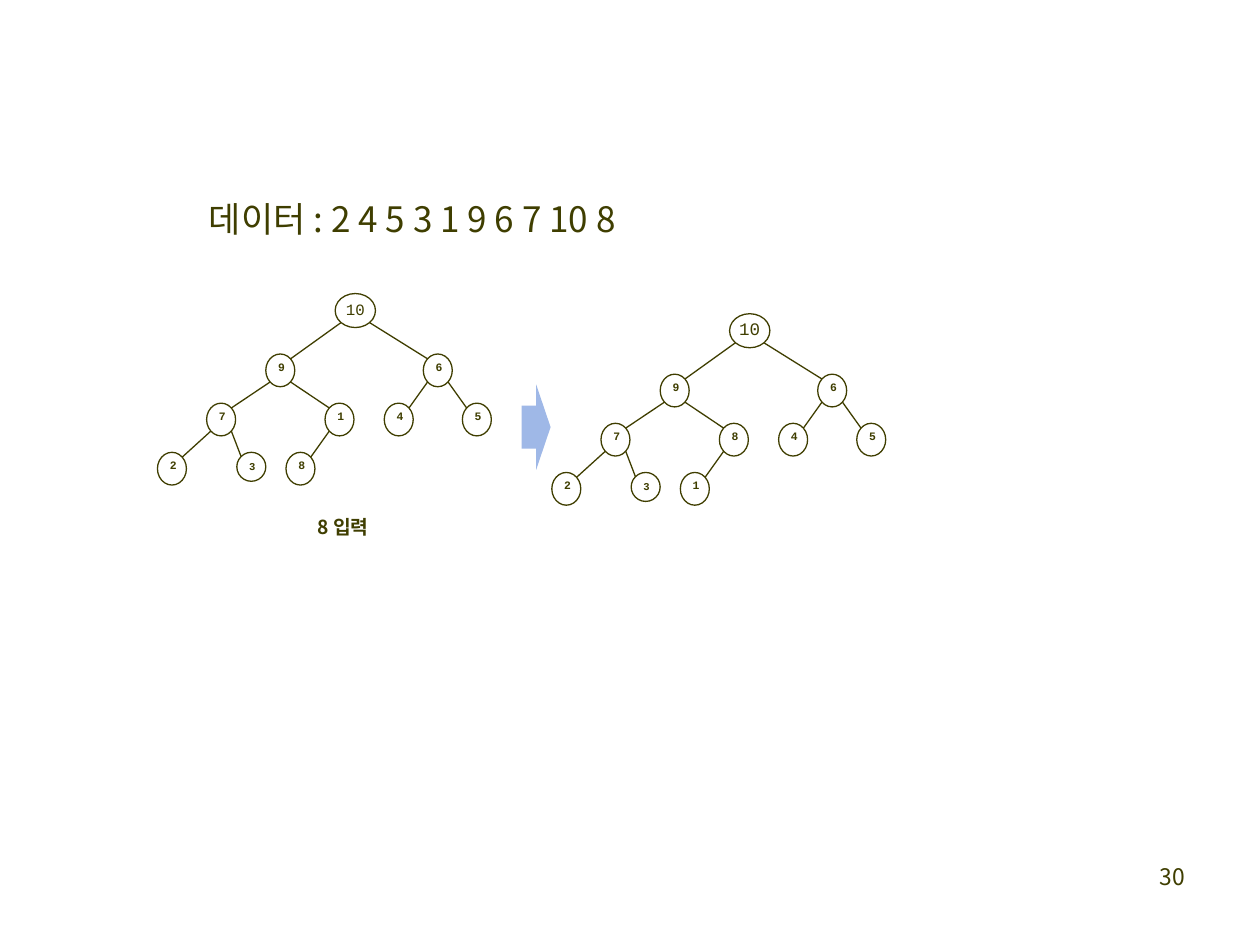
from pptx import Presentation
from pptx.dml.color import RGBColor
from pptx.enum.shapes import MSO_CONNECTOR, MSO_SHAPE
from pptx.enum.text import MSO_ANCHOR, MSO_AUTO_SIZE, PP_ALIGN
from pptx.oxml.ns import qn
from pptx.util import Inches, Pt

OVAL, ARROW = MSO_SHAPE.OVAL, MSO_SHAPE.RIGHT_ARROW
LINE = MSO_CONNECTOR.STRAIGHT
TOP, MID = MSO_ANCHOR.TOP, MSO_ANCHOR.MIDDLE
LEFT, RIGHT, CENTER = PP_ALIGN.LEFT, PP_ALIGN.RIGHT, PP_ALIGN.CENTER
GROW, FIXED = MSO_AUTO_SIZE.SHAPE_TO_FIT_TEXT, MSO_AUTO_SIZE.NONE

HUES = {"ink": "3F3E00", "arrow": "9FB8E7"}
SANS, MONO = "Noto Sans CJK KR", "Courier New"

# Node places inside a tree, in heap order: the parent of i is (i - 1) // 2
ROWS = [0, 0.48, 0.87, 1.26]
SPOTS = [(1.41, 0), (0.86, 1), (2.11, 1), (0.39, 2), (1.33, 2),
         (1.8, 2), (2.42, 2), (0, 3), (0.63, 3), (1.02, 3)]
ROOT, NODE, SMALL = (0.32, 0.27), (0.23, 0.26), (0.23, 0.23)
EDGE = 0.146  # share of an oval's box where its diagonal meets the outline


def hue(name):
    return RGBColor.from_string(HUES[name])


def write(frame, text, size, font, bold=False, align=LEFT, space=None):
    para = frame.paragraphs[0]
    para.alignment = align
    if space:
        para.line_spacing = space
        para.space_before = Pt(round(size * 0.2, 1))
    run = para.add_run()
    run.text = text
    run.font.size, run.font.bold = Pt(size), bold
    run.font.name = font
    run.font.color.rgb = hue("ink")
    east = run.font._element.makeelement(qn("a:ea"), {"typeface": font})
    run.font._element.append(east)


def label(slide, box, text, size, wrap=False, **style):
    shape = slide.shapes.add_textbox(*map(Inches, box))
    frame = shape.text_frame
    frame.word_wrap = wrap
    frame.auto_size = FIXED if wrap else GROW
    write(frame, text, size, SANS, **style)


def node(slide, box, text, size, root, space):
    shape = slide.shapes.add_shape(OVAL, *map(Inches, box))
    shape.shadow.inherit = False
    shape.fill.background()
    shape.line.color.rgb = hue("ink")
    shape.line.width = Pt(0.75)
    frame = shape.text_frame
    frame.vertical_anchor = MID if root else TOP
    if root:
        frame.margin_left = frame.margin_right = 0
        frame.margin_top = frame.margin_bottom = 0
    write(frame, text, size, MONO, not root, CENTER, space)


def corner(box, right, low):
    x, y, wide, high = box
    return (x + wide * (1 - EDGE if right else EDGE),
            y + high * (1 - EDGE if low else EDGE))


def link(slide, top, kid, right):
    ends = corner(top, right, True) + corner(kid, not right, False)
    line = slide.shapes.add_connector(LINE, *map(Inches, ends))
    line.line.color.rgb = hue("ink")
    line.line.width = Pt(0.75)
    props = line._element.spPr
    props.append(props.makeelement(qn("a:effectLst"), {}))


def tree(slide, left, top, keys, size):
    boxes = []
    for i, (key, (x, row)) in enumerate(zip(keys, SPOTS)):
        root, small = i == 0, key == 3
        dims = ROOT if root else SMALL if small else NODE
        box = (left + x, top + ROWS[row], *dims)
        boxes.append(box)
        points = size if root else 6 if small else 6.5
        node(slide, box, str(key), points, root, 0.8 if root or small else 0.6)
        if not root:
            link(slide, boxes[(i - 1) // 2], box, i % 2 == 0)


def arrow(slide, box):
    shape = slide.shapes.add_shape(ARROW, *map(Inches, box))
    shape.shadow.inherit = False
    shape.fill.solid()
    shape.fill.fore_color.rgb = hue("arrow")
    shape.line.fill.background()


def main():
    deck = Presentation()
    deck.slide_width, deck.slide_height = Inches(10), Inches(7.5)
    slide = deck.slides.add_slide(deck.slide_layouts[6])

    # Page number, input data and caption
    label(slide, (7.42, 6.8, 2.08, 0.5), "30", 13, wrap=True, align=RIGHT)
    label(slide, (1.56, 1.56, 3.93, 0.4), "데이터 : 2 4 5 3 1 9 6 7 10 8", 20,
          space=0.9)
    label(slide, (2.42, 4.06, 0.64, 0.27), "8 입력", 11, bold=True, space=0.9)

    # Heap before and after 8 moves up
    arrow(slide, (4.14, 3.05, 0.23, 0.68))
    tree(slide, 1.25, 2.33, [10, 9, 6, 7, 1, 4, 5, 2, 3, 8], 9)
    tree(slide, 4.38, 2.49, [10, 9, 6, 7, 8, 4, 5, 2, 3, 1], 10)

    deck.save("out.pptx")


if __name__ == "__main__":
    main()
